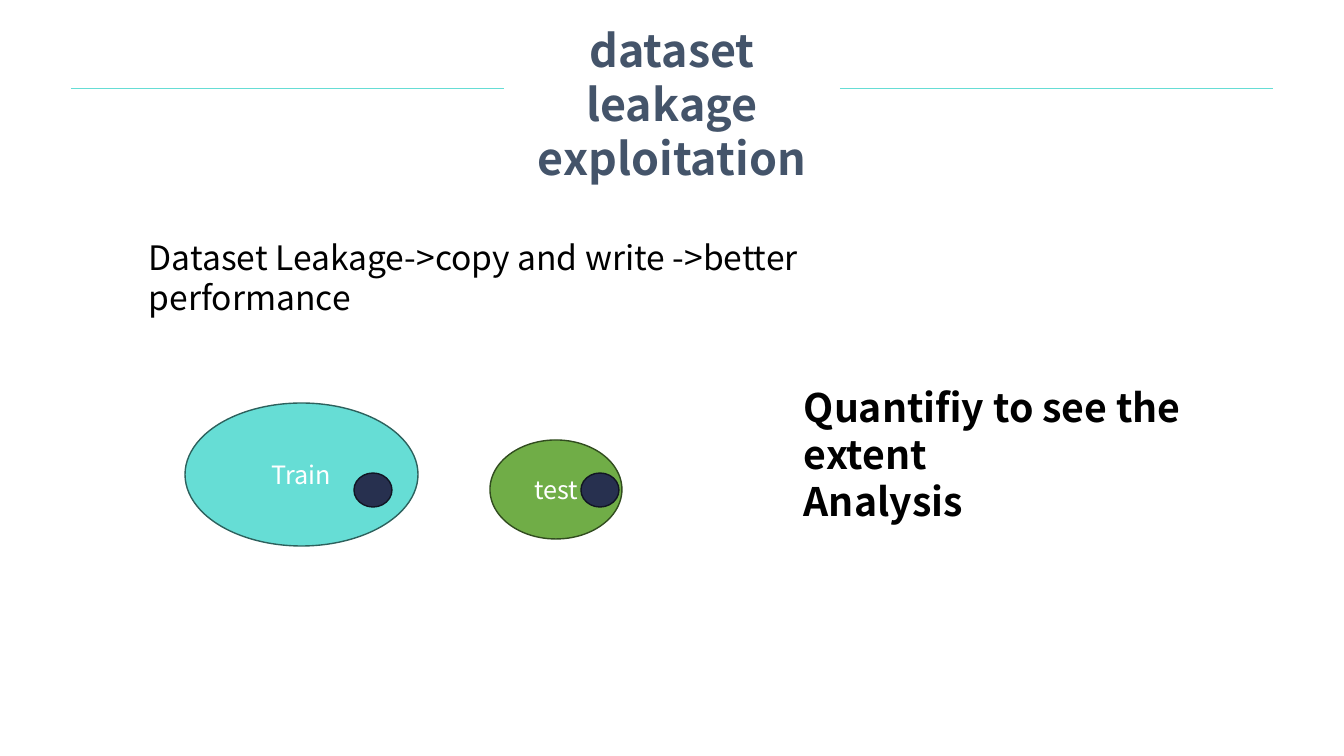
from pptx import Presentation
from pptx.dml.color import RGBColor as RGB
from pptx.enum.shapes import MSO_CONNECTOR as Link, MSO_SHAPE as Kind
from pptx.enum.text import MSO_ANCHOR as Anchor, PP_ALIGN as Align
from pptx.oxml.ns import qn
from pptx.util import Emu, Pt
from lxml.etree import SubElement as Sub

FONT = "Noto Sans CJK SC"
TEAL = RGB(0x66, 0xDD, 0xD5)
PINE = RGB(0x2D, 0x61, 0x5D)
GREEN = RGB(0x70, 0xAD, 0x47)
MOSS = RGB(0x31, 0x4C, 0x1F)
NAVY = RGB(0x27, 0x30, 0x4F)
INK = RGB(0x11, 0x15, 0x23)
SLATE = RGB(0x44, 0x54, 0x6A)
BLACK = RGB(0, 0, 0)
WHITE = RGB(255, 255, 255)

WIDE, HIGH = 1344, 756
RULE_Y = 88
RULES = [(71, 504), (840, 1273)]
TEXTS = [
    ((504, 18, 336, 173), ["dataset leakage exploitation"], 32, SLATE, True, Align.CENTER),
    ((139, 232, 863, 50), ["Dataset Leakage->copy and write ->better performance"],
     24, BLACK, False, Align.LEFT),
    ((794, 378, 499, 105), ["Quantifiy to see the extent", "Analysis"],
     28, BLACK, True, Align.LEFT),
]
SETS = [
    ((185, 403, 233, 143), "Train", TEAL, PINE),
    ((490, 440, 132, 99), "test", GREEN, MOSS),
]
LEAK_Y, LEAK_W, LEAK_H = 473, 38, 34
LEAKS = [354, 581]


def px(n):
    return Emu(round(n * 914400 / 100.8))


def write(frame, lines, size, color, bold, align):
    frame.word_wrap = True
    for i, line in enumerate(lines):
        para = frame.paragraphs[0] if i == 0 else frame.add_paragraph()
        para.alignment = align
        run = para.add_run()
        run.text = line
        font = run.font
        font.name, font.size, font.bold = FONT, Pt(size), bold
        font.color.rgb = color


def oval(shapes, box, fill, edge):
    shape = shapes.add_shape(Kind.OVAL, *map(px, box))
    shape.shadow.inherit = False
    shape.fill.solid()
    shape.fill.fore_color.rgb = fill
    shape.line.color.rgb = edge
    shape.line.width = Pt(1)
    return shape


def main():
    deck = Presentation()
    deck.slide_width, deck.slide_height = px(WIDE), px(HIGH)
    shapes = deck.slides.add_slide(deck.slide_layouts[6]).shapes

    for left, right in RULES:
        rule = shapes.add_connector(Link.STRAIGHT, px(left), px(RULE_Y), px(right), px(RULE_Y))
        rule.line.color.rgb = TEAL
        rule.line.width = Pt(0.5)
        Sub(rule._element.spPr, qn("a:effectLst"))

    for box, lines, *style in TEXTS:
        write(shapes.add_textbox(*map(px, box)).text_frame, lines, *style)

    for box, name, fill, edge in SETS:
        frame = oval(shapes, box, fill, edge).text_frame
        frame.vertical_anchor = Anchor.MIDDLE
        write(frame, [name], 18, WHITE, False, Align.CENTER)

    for left in LEAKS:
        oval(shapes, (left, LEAK_Y, LEAK_W, LEAK_H), NAVY, INK)

    deck.save("out.pptx")


if __name__ == "__main__":
    main()
